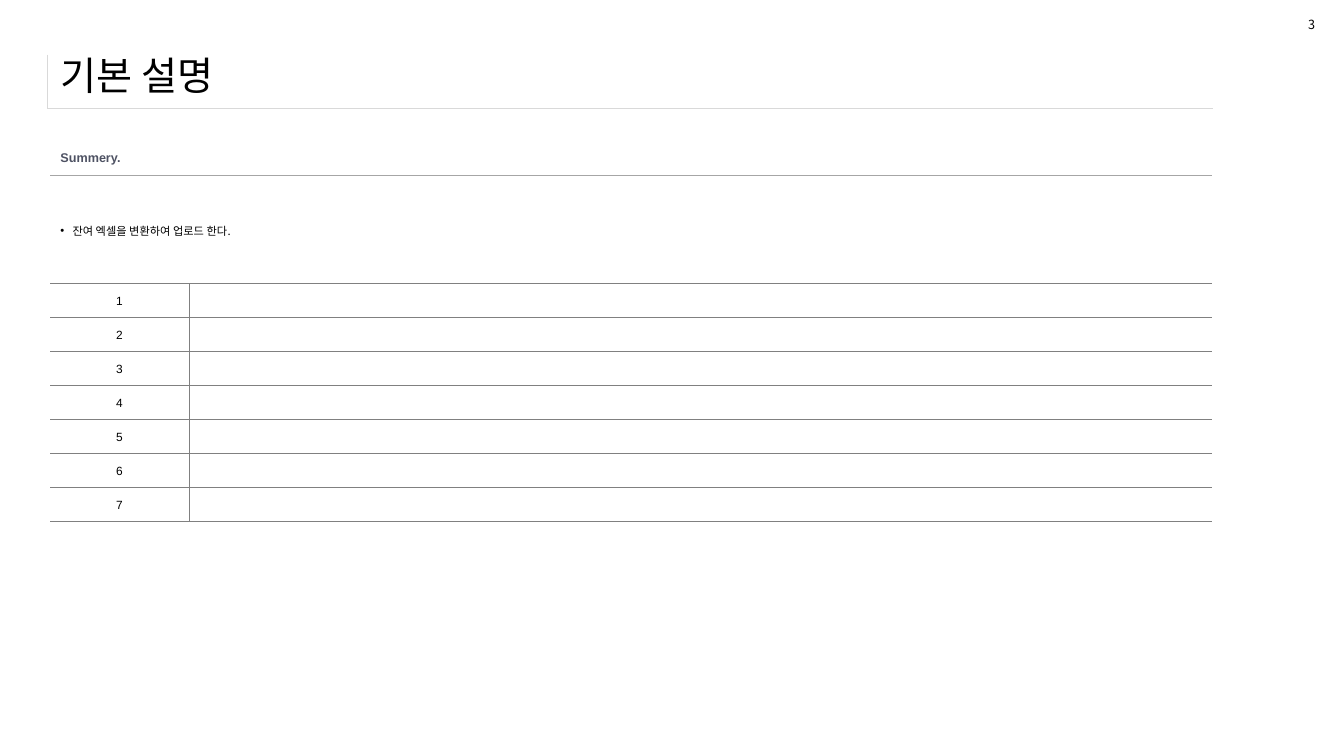
import lxml.etree
import pptx
import pptx.dml.color
import pptx.enum.text
import pptx.oxml
import pptx.oxml.ns
import pptx.util

Pt = pptx.util.Pt
ALIGN = pptx.enum.text.PP_ALIGN
MIDDLE = pptx.enum.text.MSO_ANCHOR.MIDDLE
TOP = pptx.enum.text.MSO_ANCHOR.TOP
qn = pptx.oxml.ns.qn

KOREAN = "Noto Sans CJK KR"
LATIN = "Arial"
PALE, LIGHT, GRAY = "D9D9D9", "A6A6A6", "808080"


def color(value):
    return pptx.dml.color.RGBColor.from_string(value)


class SlideBuilder:
    """Holds the text style and the current slide."""

    def __init__(self, slide, ink="000000", rule_width=0.25):
        self.slide = slide
        self.ink = ink
        self.rule_width = rule_width

    def set_text(self, text_frame, text, size, font, ink=None, bold=False, align=ALIGN.LEFT, spacing=1.0):
        text_frame.text = text
        paragraph = text_frame.paragraphs[0]
        paragraph.alignment = align
        paragraph.line_spacing = spacing
        for run in paragraph.runs:
            run.font.size = Pt(size)
            run.font.name = font
            run.font.bold = bold
            run.font.color.rgb = color(ink or self.ink)
            east_asian = lxml.etree.Element(qn("a:ea"), typeface=font)
            run.font._element.find(qn("a:latin")).addnext(east_asian)
        return paragraph

    def bullet(self, paragraph, indent):
        properties = paragraph._p.get_or_add_pPr()
        properties.set("marL", str(Pt(indent)))
        properties.set("indent", str(-Pt(indent)))
        lxml.etree.SubElement(properties, qn("a:buFont"), typeface=LATIN)
        lxml.etree.SubElement(properties, qn("a:buChar"), char="•")

    def text_box(self, left, top, width, height, text, size, anchor=TOP, wrap=True):
        shape = self.slide.shapes.add_textbox(Pt(left), Pt(top), Pt(width), Pt(height))
        shape.text_frame.word_wrap = wrap
        shape.text_frame.vertical_anchor = anchor
        self.set_text(shape.text_frame, text, size, KOREAN)

    def table(self, left, top, widths, heights):
        shape = self.slide.shapes.add_table(
            len(heights), len(widths), Pt(left), Pt(top), Pt(sum(widths)), Pt(sum(heights)))
        table = shape.table
        table.first_row = table.horz_banding = False
        for column, width in zip(table.columns, widths):
            column.width = Pt(width)
        for row, height in zip(table.rows, heights):
            row.height = Pt(height)
        for cell in table.iter_cells():
            cell.vertical_anchor = MIDDLE
            cell.fill.background()
            # Small size keeps empty cells from stretching their rows
            lxml.etree.SubElement(cell.text_frame.paragraphs[0]._p, qn("a:endParaRPr"), sz="850")
        return table

    def borders(self, cell, **sides):
        properties = cell._tc.get_or_add_tcPr()
        for index, side in enumerate("LRTB"):
            line = lxml.etree.Element(qn("a:ln" + side), w=str(Pt(self.rule_width)))
            if side in sides:
                fill = lxml.etree.SubElement(line, qn("a:solidFill"))
                lxml.etree.SubElement(fill, qn("a:srgbClr"), val=sides[side])
            else:
                lxml.etree.SubElement(line, qn("a:noFill"))
            properties.insert(index, line)


def main():
    presentation = pptx.Presentation()
    presentation.slide_width, presentation.slide_height = Pt(960), Pt(540)
    builder = SlideBuilder(presentation.slides.add_slide(presentation.slide_layouts[6]))

    # Title with its frame, and page number
    frame = builder.table(34, 39, [832.3], [38.2])
    builder.borders(frame.cell(0, 0), L=PALE, B=PALE)
    builder.text_box(36, 29.5, 899.3, 48.2, "기본 설명", 28, anchor=MIDDLE)
    builder.text_box(927.4, 8.6, 19.4, 18, "3", 9, wrap=False)

    # Summary table: heading, description, numbered rows
    item_count = 7
    table = builder.table(36, 100.1, [98.8, 731], [25.2, 77] + [24.28] * item_count)
    for row in (0, 1):
        table.cell(row, 0).merge(table.cell(row, 1))

    heading, description = table.cell(0, 0), table.cell(1, 0)
    builder.set_text(heading.text_frame, "Summery.", 9, LATIN, ink="4E5263", bold=True)
    heading.fill.solid()
    heading.fill.fore_color.rgb = color("FFFFFF")
    paragraph = builder.set_text(description.text_frame, "잔여 엑셀을 변환하여 업로드 한다.", 8, KOREAN,
                                 align=ALIGN.JUSTIFY, spacing=1.2)
    builder.bullet(paragraph, 8.6)
    for column in (0, 1):
        builder.borders(table.cell(0, column), B=LIGHT)
        builder.borders(table.cell(1, column), T=LIGHT, B=GRAY)

    for number in range(1, item_count + 1):
        label, content = table.cell(number + 1, 0), table.cell(number + 1, 1)
        builder.set_text(label.text_frame, str(number), 8.5, LATIN, align=ALIGN.CENTER, spacing=1.2)
        builder.borders(label, R=GRAY, T=GRAY, B=GRAY)
        builder.borders(content, L=GRAY, T=GRAY, B=GRAY)

    presentation.save("out.pptx")


if __name__ == "__main__":
    main()
